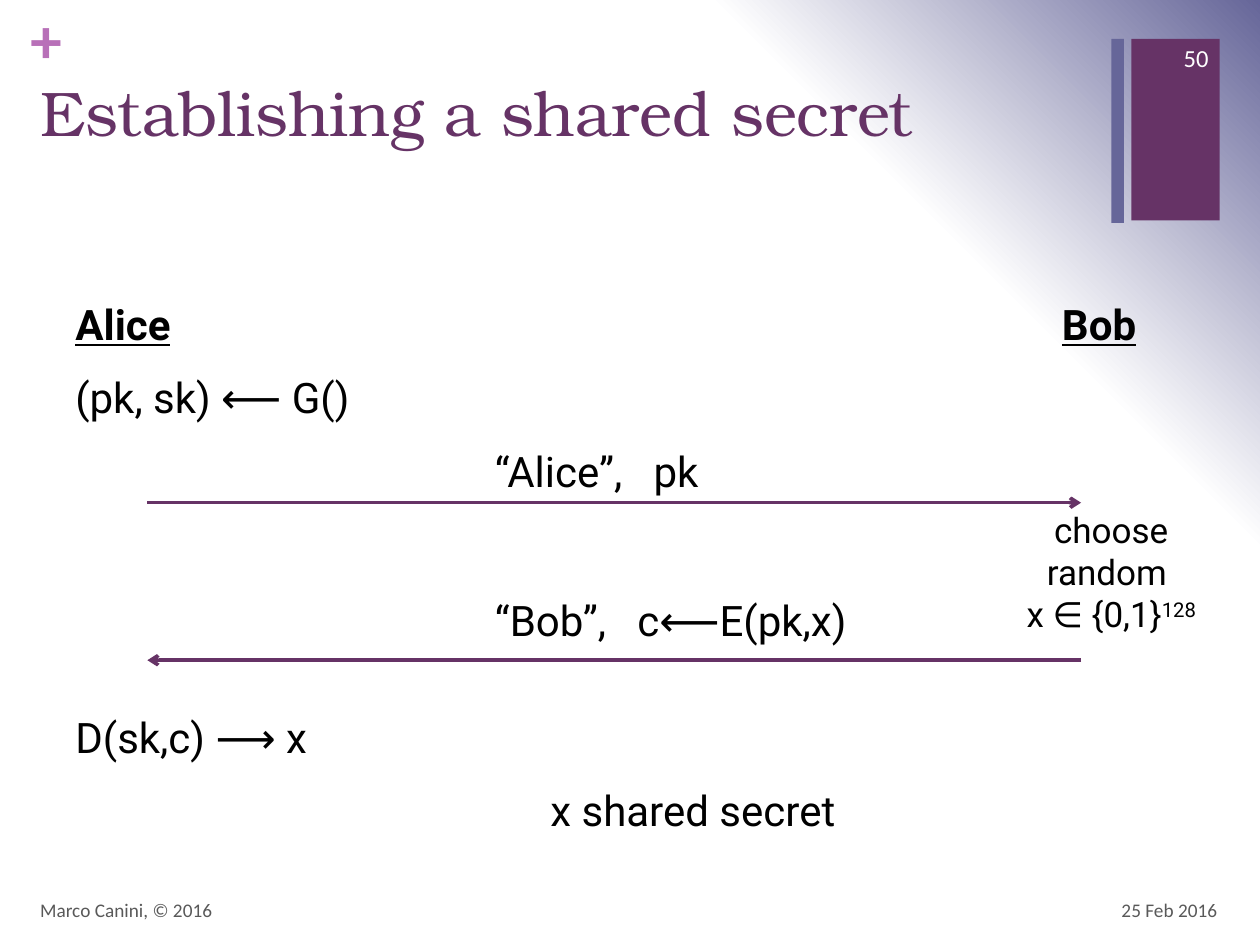
"""Build the slide that shows Alice and Bob establishing a shared secret."""
import pptx
import pptx.dml.color
import pptx.enum.shapes
import pptx.enum.text
import pptx.oxml
import pptx.oxml.ns
import pptx.util

Inches = pptx.util.Inches
Pt = pptx.util.Pt
ALIGN = pptx.enum.text.PP_ALIGN
ANCHOR = pptx.enum.text.MSO_ANCHOR

COLORS = {
    "plum": "663366", "slate": "666699", "orchid": "B870B8",
    "black": "000000", "gray": "595959", "white": "FFFFFF",
}
TITLE = "Establishing a shared secret"
BARS = [((8.98, 0.31, 0.7, 1.44), "plum"), ((8.82, 0.31, 0.1, 1.46), "slate")]
NAMES = [("Alice", 0.5, 2.32, 1.01), ("Bob", 8.33, 2.32, 0.85)]
STEPS = [
    ("(pk, sk) ⟵ G()", 0.5, 2.9, 2.43),
    ("“Alice”,   pk", 3.83, 3.49, 1.91),
    ("“Bob”,   c⟵E(pk,x)", 3.83, 4.67, 3.05),
    ("D(sk,c) ⟶ x", 0.5, 5.6, 2.04),
    ("x shared secret", 4.27, 6.18, 2.47),
]
CHOICE = [[("choose random ", 0)], [("x ∈ {0,1}", 0), ("128", 30)]]
ALICE_X, BOB_X = 1.17, 8.58
MESSAGES = [(ALICE_X, BOB_X, 3.99), (BOB_X, ALICE_X, 5.24)]
MARGINALS = [
    ("25 Feb 2016", (7.43, 7.02, 2.33, 0.4), 11, "gray", ALIGN.RIGHT),
    ("Marco Canini, © 2016", (0.22, 7.02, 6.7, 0.4), 11, "gray", ALIGN.LEFT),
    ("50", (9.08, 0.26, 0.61, 0.4), 14, "white", ALIGN.RIGHT),
]


def rgb(name):
    return pptx.dml.color.RGBColor.from_string(COLORS[name])


def add_run(p, text, size, font="Roboto", color="black", bold=False, underline=False):
    r = p.add_run()
    r.text = text
    r.font.size, r.font.name = Pt(size), font
    r.font.bold, r.font.underline = bold, underline
    r.font.color.rgb = rgb(color)
    return r


def add_box(s, box, wrap=False, anchor=ANCHOR.TOP):
    tf = s.shapes.add_textbox(*map(Inches, box)).text_frame
    tf.word_wrap, tf.vertical_anchor = wrap, anchor
    return tf


def set_background(s):
    stops = "".join(
        f'<a:gs pos="{pos * 1000}"><a:srgbClr val="{COLORS[name]}"/></a:gs>'
        for pos, name in [(0, "white"), (75, "white"), (100, "slate")])
    s.background.fill.solid()
    solid = s.background._cSld.find(".//" + pptx.oxml.ns.qn("a:solidFill"))
    solid.getparent().replace(solid, pptx.oxml.parse_xml(
        f'<a:gradFill {pptx.oxml.ns.nsdecls("a")} rotWithShape="1"><a:gsLst>{stops}</a:gsLst>'
        '<a:path path="circle"><a:fillToRect t="100000" r="100000"/></a:path></a:gradFill>'))


def add_bar(s, box, color):
    sp = s.shapes.add_shape(pptx.enum.shapes.MSO_SHAPE.RECTANGLE, *map(Inches, box))
    sp.shadow.inherit = False
    sp.fill.solid()
    sp.fill.fore_color.rgb = rgb(color)
    sp.line.fill.background()


def add_title(s):
    sp = s.shapes.title
    sp.left, sp.top, sp.width, sp.height = map(Inches, (0.22, 0.53, 8.59, 1.22))
    tf = sp.text_frame
    tf.vertical_anchor, tf.auto_size = ANCHOR.TOP, pptx.enum.text.MSO_AUTO_SIZE.NONE
    p = tf.paragraphs[0]
    p.alignment = ALIGN.LEFT
    add_run(p, TITLE, 36, "TeX Gyre Bonum", "plum")


def add_plus(s):
    tf = add_box(s, (0.24, 0, 0.29, 0.61), wrap=True)
    tf.margin_left = tf.margin_top = tf.margin_right = tf.margin_bottom = 0
    add_run(tf.paragraphs[0], "+", 36, "Calibri", "orchid", bold=True)


def add_choice(s):
    tf = add_box(s, (7.77, 3.99, 2.1, 0.77), wrap=True)
    for i, runs in enumerate(CHOICE):
        p = tf.add_paragraph() if i else tf.paragraphs[0]
        p.alignment = ALIGN.CENTER
        for text, raised in runs:
            r = add_run(p, text, 20)
            if raised:
                r.font._element.set("baseline", str(raised * 1000))


def add_message(s, start, end, y):
    line = s.shapes.add_connector(
        pptx.enum.shapes.MSO_CONNECTOR.STRAIGHT, *map(Inches, (start, y, end, y)))
    line.line.color.rgb, line.line.width = rgb("plum"), Pt(2)
    ns = pptx.oxml.ns.nsdecls("a")
    line.line._get_or_add_ln().append(pptx.oxml.parse_xml(f'<a:tailEnd {ns} type="arrow"/>'))
    line._element.spPr.append(pptx.oxml.parse_xml(f"<a:effectLst {ns}/>"))


def main():
    prs = pptx.Presentation()
    prs.slide_width, prs.slide_height = Inches(10), Inches(7.5)
    s = prs.slides.add_slide(prs.slide_layouts.get_by_name("Title Only"))
    set_background(s)
    for box, color in BARS:
        add_bar(s, box, color)
    add_plus(s)
    add_title(s)
    for texts, strong in [(NAMES, True), (STEPS, False)]:
        for text, x, y, width in texts:
            tf = add_box(s, (x, y, width, 0.5))
            add_run(tf.paragraphs[0], text, 24, bold=strong, underline=strong)
    add_choice(s)
    for start, end, y in MESSAGES:
        add_message(s, start, end, y)
    for text, box, size, color, align in MARGINALS:
        p = add_box(s, box, wrap=True, anchor=ANCHOR.MIDDLE).paragraphs[0]
        p.alignment = align
        add_run(p, text, size, "Calibri", color)
    prs.save("out.pptx")


if __name__ == "__main__":
    main()
